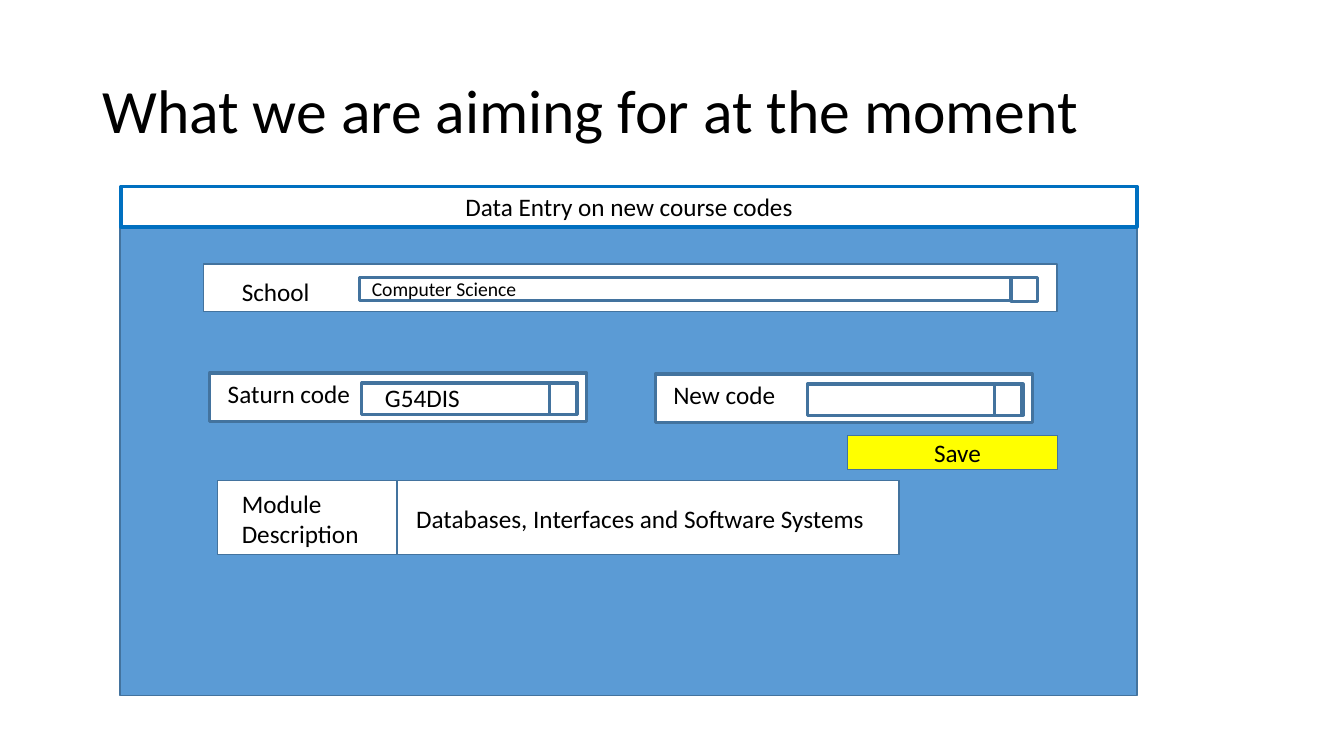
from pptx import Presentation
from pptx.dml.color import RGBColor
from pptx.enum.shapes import MSO_SHAPE
from pptx.enum.text import MSO_ANCHOR, PP_ALIGN
from pptx.util import Pt

RECTANGLE = MSO_SHAPE.RECTANGLE
LEFT, CENTER = PP_ALIGN.LEFT, PP_ALIGN.CENTER
TOP, MIDDLE = MSO_ANCHOR.TOP, MSO_ANCHOR.MIDDLE

BLACK = RGBColor(0x00, 0x00, 0x00)
WHITE = RGBColor(0xFF, 0xFF, 0xFF)
PANEL_BLUE = RGBColor(0x5B, 0x9B, 0xD5)
EDGE_BLUE = RGBColor(0x43, 0x73, 0x9E)
CAPTION_BLUE = RGBColor(0x00, 0x70, 0xC0)
YELLOW = RGBColor(0xFF, 0xFF, 0x00)

FONT = "Calibri"
THIN, THICK = 1, 2.25
LINE_HEIGHT = 29

# Content: boxes are (left, top, width, height) in points
TITLE = ("What we are aiming for at the moment", (66, 28.8, 828, 104.4))
FORM_CAPTION = ("Data Entry on new course codes", (86.4, 133.2, 725.8, LINE_HEIGHT))
FORM_PANEL = (85.7, 133.2, 726.5, 363.6)

# Frames: box, fill, edge colour, edge width
FRAMES = [
    ((145.4, 188.6, 609.8, 33.8), WHITE, EDGE_BLUE, THIN),   # school row
    ((257, 198, 482.4, 16.6), WHITE, EDGE_BLUE, THICK),      # school list
    ((722.2, 198, 18.7, 17.3), WHITE, EDGE_BLUE, THICK),     # school list button
    ((155.5, 343.4, 486.7, 52.6), WHITE, EDGE_BLUE, THIN),   # module row
    ((283.7, 343.4, 358.5, 52.6), WHITE, EDGE_BLUE, THIN),   # module description
    ((605.5, 311, 149.8, 24.5), YELLOW, EDGE_BLUE, THIN),    # save button
]

# Labels: wording, box, size, alignment
LABELS = [
    ("School", (165.6, 193.7, 82, LINE_HEIGHT), 18, LEFT),
    ("Computer Science", (258.5, 194.4, 232.6, 24.5), 14, LEFT),
    ("Module Description", (165.6, 344.9, 104.4, 51.1), 18, LEFT),
    ("Databases, Interfaces and Software Systems",
     (290.2, 355.7, 336.2, LINE_HEIGHT), 18, LEFT),
    ("Save", (631.4, 308.9, 105.1, LINE_HEIGHT), 18, CENTER),
]

# Code entries: label, value, left, top
CODE_ENTRIES = [
    ("Saturn code", "G54DIS", 149.8, 266.4),
    ("New code", "", 468, 267.1),
]
# Parts of a code entry, relative to its top left corner
CODE_FRAMES = [(0, 0, 269.3, 34.6), (108.7, 7.2, 154.1, 22.3), (242.6, 7.2, 19.4, 22.3)]
CODE_LABEL = (5.8, 0, 114.5, LINE_HEIGHT)
CODE_VALUE = (118.1, 2.9, 115.2, LINE_HEIGHT)


def place(box):
    return [Pt(length) for length in box]


def shifted(box, left, top):
    return (box[0] + left, box[1] + top, *box[2:])


def apply(target, values):
    for name, value in values.items():
        setattr(target, name, value)


def write(holder, wording, size, align, anchor=TOP, spacing=1.0):
    frame = holder.text_frame
    frame.text = wording
    apply(frame, {"word_wrap": True, "vertical_anchor": anchor})
    paragraph = frame.paragraphs[0]
    apply(paragraph, {"alignment": align, "line_spacing": spacing})
    font = paragraph.runs[0].font
    apply(font, {"name": FONT, "size": Pt(size)})
    font.color.rgb = BLACK


def add_frame(slide, box, fill, edge, width):
    frame = slide.shapes.add_shape(RECTANGLE, *place(box))
    frame.shadow.inherit = False
    frame.fill.solid()
    frame.fill.fore_color.rgb = fill
    frame.line.color.rgb = edge
    frame.line.width = Pt(width)
    return frame


def add_label(slide, wording, box, size, align):
    write(slide.shapes.add_textbox(*place(box)), wording, size, align)


def main():
    deck = Presentation()
    apply(deck, {"slide_width": Pt(960), "slide_height": Pt(540)})
    slide = deck.slides.add_slide(deck.slide_layouts[5])

    # Title
    wording, box = TITLE
    title = slide.shapes.title
    apply(title, dict(zip(("left", "top", "width", "height"), place(box))))
    write(title, wording, 44, LEFT, MIDDLE, 0.9)

    # Form panel and its caption bar
    add_frame(slide, FORM_PANEL, PANEL_BLUE, EDGE_BLUE, THIN)
    wording, box = FORM_CAPTION
    caption = add_frame(slide, box, WHITE, CAPTION_BLUE, THICK)
    write(caption, wording, 18, CENTER)

    # School row, module row and save button
    for frame in FRAMES:
        add_frame(slide, *frame)
    for label in LABELS:
        add_label(slide, *label)

    # Code entries
    for name, value, left, top in CODE_ENTRIES:
        for box in CODE_FRAMES:
            add_frame(slide, shifted(box, left, top), WHITE, EDGE_BLUE, THICK)
        add_label(slide, name, shifted(CODE_LABEL, left, top), 18, LEFT)
        if value:
            add_label(slide, value, shifted(CODE_VALUE, left, top), 18, LEFT)

    deck.save("out.pptx")


if __name__ == "__main__":
    main()
